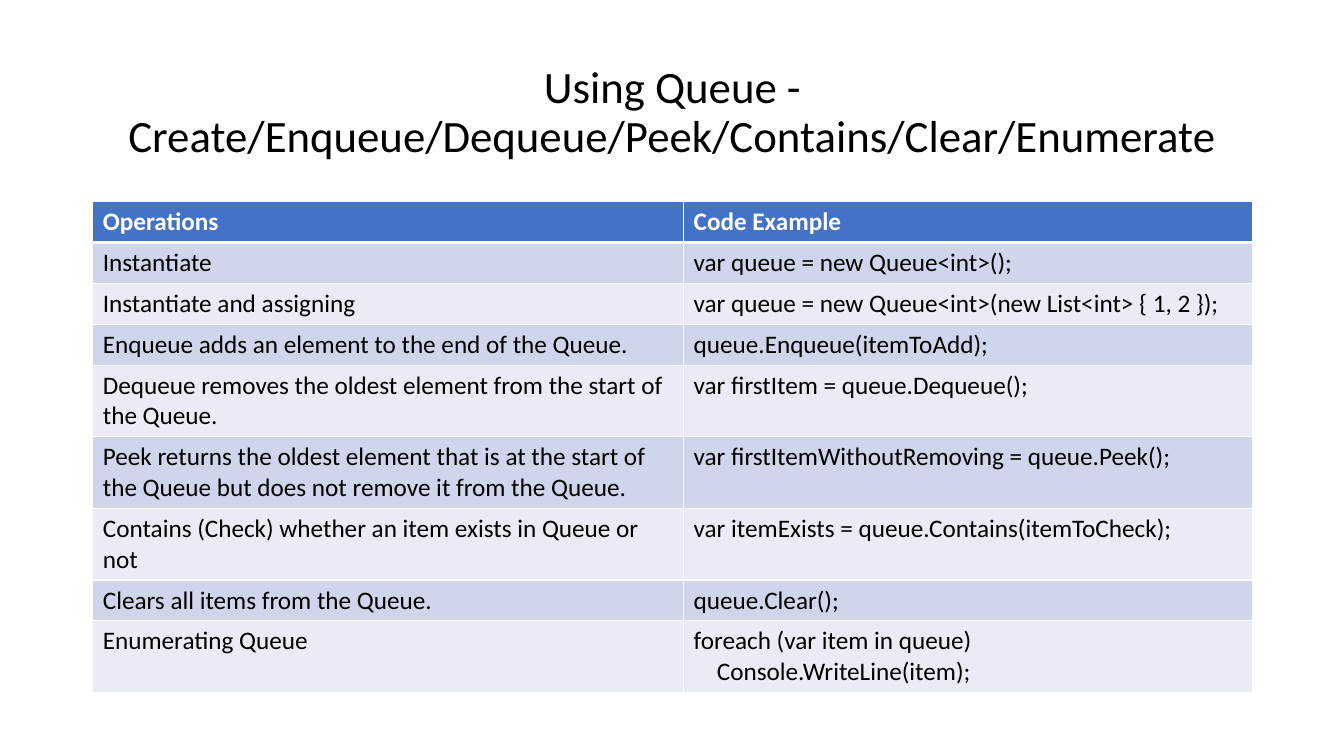
import pptx
import pptx.dml.color
import pptx.enum.text
import pptx.oxml
import pptx.oxml.ns
import pptx.util

Inches, Pt = pptx.util.Inches, pptx.util.Pt

TITLE = "Using Queue - Create/Enqueue/Dequeue/Peek/Contains/Clear/Enumerate"
ROWS = [
    ("Operations", "Code Example"),
    ("Instantiate", "var queue = new Queue<int>();"),
    ("Instantiate and assigning", "var queue = new Queue<int>(new List<int> { 1, 2 });"),
    ("Enqueue adds an element to the end of the Queue.", "queue.Enqueue(itemToAdd);"),
    ("Dequeue removes the oldest element from the start of the Queue.",
     "var firstItem = queue.Dequeue();"),
    ("Peek returns the oldest element that is at the start of the Queue "
     "but does not remove it from the Queue.",
     "var firstItemWithoutRemoving = queue.Peek();"),
    ("Contains (Check) whether an item exists in Queue or not",
     "var itemExists = queue.Contains(itemToCheck);"),
    ("Clears all items from the Queue.", "queue.Clear();"),
    ("Enumerating Queue", "foreach (var item in queue)\nConsole.WriteLine(item);"),
]
COL_WIDTHS = (5.86, 5.64)
LINE_H, PAD_H = 0.305, 0.1
TWO_LINE_ROWS = (4, 5, 6, 8)
HEADER_FILL, BAND_FILLS = "4472C4", ("E9EBF5", "CFD5EA")
LEFT, WIDTH = 0.92, sum(COL_WIDTHS)


def rgb(value):
    return pptx.dml.color.RGBColor.from_string(value)


def set_font(p, size, color, bold=False):
    p.font.name, p.font.size, p.font.bold = "Calibri", Pt(size), bold
    p.font.color.rgb = rgb(color)


def set_borders(cell, bottom_width):
    """White rules on all four sides, placed ahead of the cell fill."""
    tcPr = cell._tc.get_or_add_tcPr()
    for i, (side, width) in enumerate(zip("LRTB", (1, 1, 1, bottom_width))):
        tcPr.insert(i, pptx.oxml.parse_xml(
            f'<a:ln{side} {pptx.oxml.ns.nsdecls("a")} w="{Pt(width)}">'
            f'<a:solidFill><a:srgbClr val="FFFFFF"/></a:solidFill></a:ln{side}>'))


prs = pptx.Presentation()
prs.slide_width, prs.slide_height = Inches(13.33), Inches(7.5)
s = prs.slides.add_slide(prs.slide_layouts[5])

# Title
title = s.shapes.title
title.left, title.top = Inches(LEFT), Inches(0.4)
title.width, title.height = Inches(WIDTH), Inches(1.45)
tf = title.text_frame
tf.text = TITLE
tf.word_wrap = True
tf.auto_size = pptx.enum.text.MSO_AUTO_SIZE.NONE
tf.vertical_anchor = pptx.enum.text.MSO_ANCHOR.MIDDLE
p = tf.paragraphs[0]
p.alignment = pptx.enum.text.PP_ALIGN.CENTER
p.line_spacing = 0.9
set_font(p, 32, "000000")

# Table of operations
heights = [PAD_H + LINE_H * (2 if i in TWO_LINE_ROWS else 1) for i in range(len(ROWS))]
table = s.shapes.add_table(len(ROWS), len(COL_WIDTHS), Inches(LEFT), Inches(2),
                           Inches(WIDTH), Inches(sum(heights))).table
for column, width in zip(table.columns, COL_WIDTHS):
    column.width = Inches(width)

for i, (row, texts) in enumerate(zip(table.rows, ROWS)):
    header = i == 0
    row.height = Inches(heights[i])
    for cell, text in zip(row.cells, texts):
        cell.text = text
        cell.fill.solid()
        cell.fill.fore_color.rgb = rgb(HEADER_FILL if header else BAND_FILLS[i % 2])
        set_borders(cell, 3 if header else 1)
        for p in cell.text_frame.paragraphs:
            set_font(p, 18, "FFFFFF" if header else "000000", header)

# Indent the loop body
loop_body = table.cell(len(ROWS) - 1, 1).text_frame.paragraphs[1]
loop_body._p.get_or_add_pPr().set("marL", str(Inches(0.23)))

prs.save("out.pptx")
